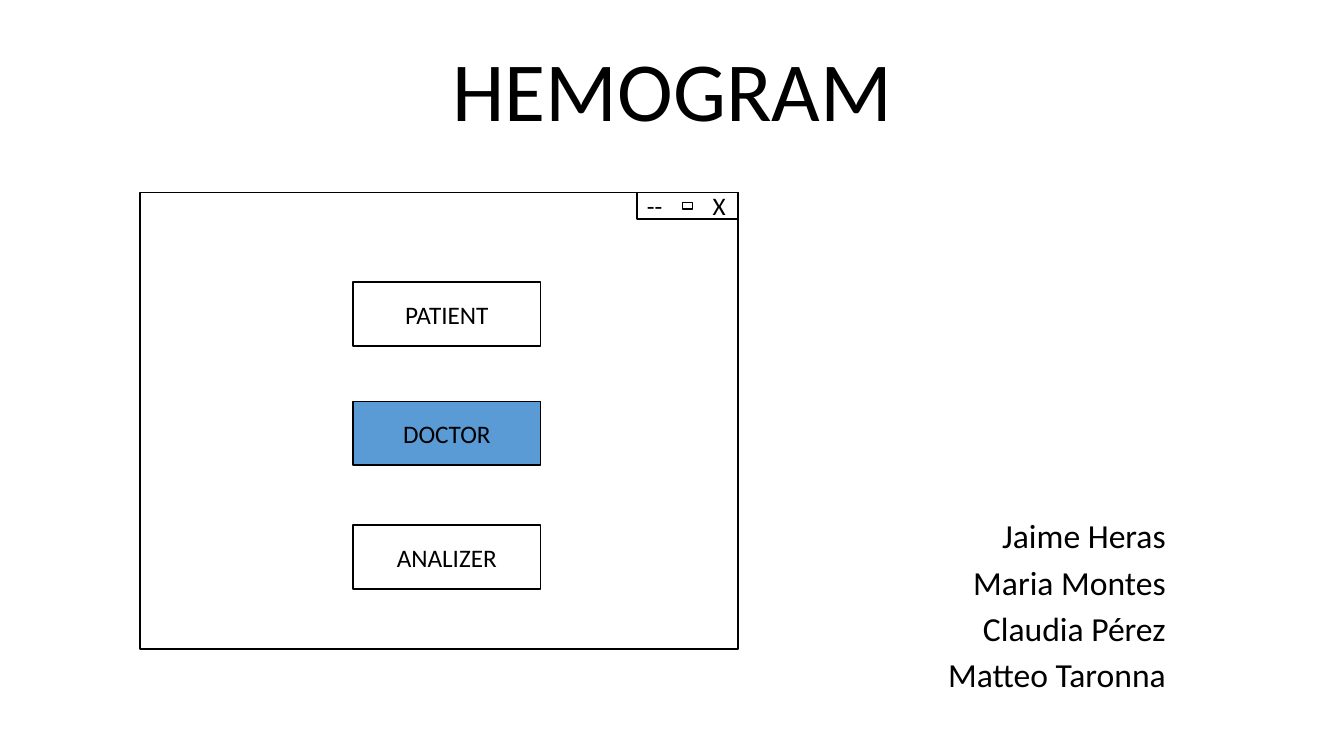
from dataclasses import dataclass
from pptx import Presentation
from pptx import util as u
from pptx.dml.color import RGBColor
from pptx.enum import shapes, text
from lxml import etree


@dataclass(frozen=True)
class Theme:
    font: str = "Calibri"
    ink: str = "000000"
    paper: str = "FFFFFF"
    accent: str = "5B9BD5"
    title: int = 60
    names: int = 24
    label: int = 18
    outline: int = 1


THEME = Theme()
WIDTH, HEIGHT = 13.33, 7.5
DRAWING_NS = "http://schemas.openxmlformats.org/drawingml/2006/main"


def within(box, left, top, width, height):
    """Turn shares of a box into a box in inches."""
    x, y, w, h = box
    return x + left * w, y + top * h, width * w, height * h


def inches(box):
    return [u.Inches(length) for length in box]


def write(paragraph, words, size, align):
    paragraph.alignment = align
    run = paragraph.add_run()
    run.text = words
    run.font.name = THEME.font
    run.font.size = u.Pt(size)
    run.font.color.rgb = RGBColor.from_string(THEME.ink)


def add_panel(slide, box, fill=THEME.paper):
    panel = slide.shapes.add_shape(shapes.MSO_SHAPE.RECTANGLE, *inches(box))
    panel.shadow.inherit = False
    panel.fill.solid()
    panel.fill.fore_color.rgb = RGBColor.from_string(fill)
    panel.line.color.rgb = RGBColor.from_string(THEME.ink)
    panel.line.width = u.Pt(THEME.outline)
    panel.text_frame.vertical_anchor = text.MSO_ANCHOR.MIDDLE
    return panel


def add_lines(slide, box, lines, size, align, anchor, spacing, gap=0):
    frame = slide.shapes.add_textbox(*inches(box)).text_frame
    frame.word_wrap = True
    frame.vertical_anchor = anchor
    for index, line in enumerate(lines):
        paragraph = frame.add_paragraph() if index else frame.paragraphs[0]
        paragraph.line_spacing = spacing
        if index:
            paragraph.space_before = u.Pt(gap)
        write(paragraph, line, size, align)


def add_title(slide, box):
    add_lines(slide, box, ["HEMOGRAM"], THEME.title, text.PP_ALIGN.CENTER,
              text.MSO_ANCHOR.BOTTOM, 0.9)


def add_authors(slide, box):
    authors = ["Jaime Heras", "Maria Montes", "Claudia Pérez", "Matteo Taronna"]
    add_lines(slide, box, authors, THEME.names, text.PP_ALIGN.RIGHT,
              text.MSO_ANCHOR.TOP, 0.8, gap=10)


def add_window_controls(slide, box):
    bar = add_panel(slide, box)
    bar.text_frame.margin_right = 0
    symbols = bar.text_frame.paragraphs[0]
    # Tab stop for the close symbol
    tabs = etree.SubElement(symbols._p.get_or_add_pPr(), f"{{{DRAWING_NS}}}tabLst")
    etree.SubElement(tabs, f"{{{DRAWING_NS}}}tab",
                     pos=str(u.Inches(0.65 * box[2])), algn="l")
    write(symbols, "--\tX", THEME.label, text.PP_ALIGN.LEFT)
    # Maximise symbol
    add_panel(slide, within(box, 0.45, 0.38, 0.1, 0.24))


def add_app_window(slide, box):
    add_panel(slide, box)
    # Menu buttons: label, top as a share of the window, fill
    buttons = [("PATIENT", 0.196, THEME.paper),
               ("DOCTOR", 0.457, THEME.accent),
               ("ANALIZER", 0.728, THEME.paper)]
    for label, top, fill in buttons:
        button = add_panel(slide, within(box, 0.356, top, 0.314, 0.14), fill)
        write(button.text_frame.paragraphs[0], label, THEME.label,
              text.PP_ALIGN.CENTER)
    add_window_controls(slide, within(box, 0.831, 0, 0.169, 0.058))


def main():
    deck = Presentation()
    deck.slide_width, deck.slide_height = u.Inches(WIDTH), u.Inches(HEIGHT)
    slide = deck.slides.add_slide(deck.slide_layouts[6])
    slide.background.fill.solid()
    slide.background.fill.fore_color.rgb = RGBColor.from_string(THEME.paper)
    add_title(slide, (1.67, 0.24, 10, 1.19))
    add_authors(slide, (8.27, 5.14, 3.39, 1.81))
    add_app_window(slide, (1.39, 1.91, 5.93, 4.53))
    deck.save("out.pptx")


if __name__ == "__main__":
    main()
